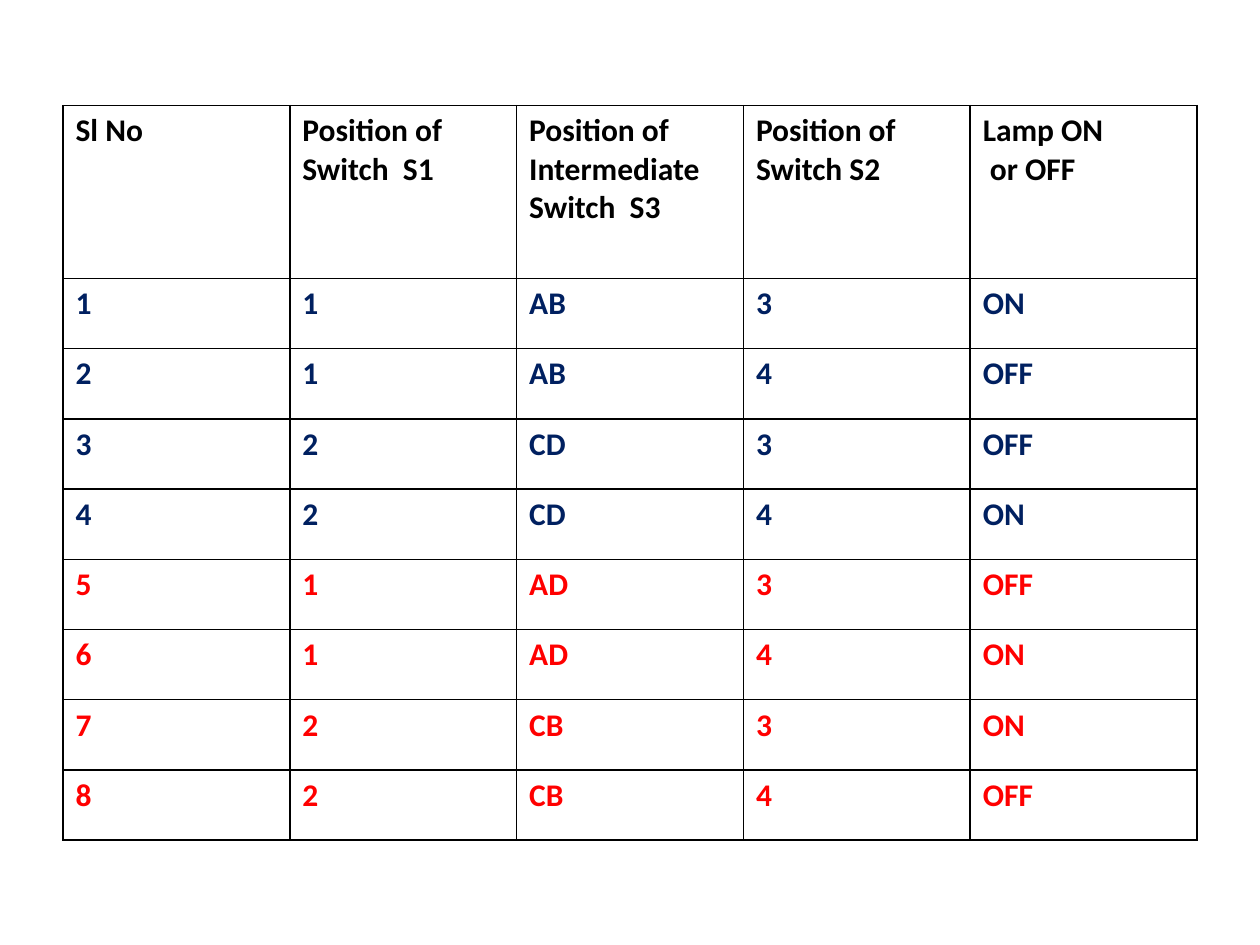
from lxml.etree import SubElement
from pptx import Presentation
from pptx.dml.color import RGBColor
from pptx.oxml.ns import qn
from pptx.util import Cm, Pt

# Content
HEADS = ["Sl No", "Position of Switch  S1", "Position of Intermediate Switch  S3",
         "Position of Switch S2", "Lamp ON\n or OFF"]
STATES = [  # S1, S3, S2, lamp
    ("1", "AB", "3", "ON"),
    ("1", "AB", "4", "OFF"),
    ("2", "CD", "3", "OFF"),
    ("2", "CD", "4", "ON"),
    ("1", "AD", "3", "OFF"),
    ("1", "AD", "4", "ON"),
    ("2", "CB", "3", "ON"),
    ("2", "CB", "4", "OFF"),
]
COLORS = {"head": "000000", "straight": "002060", "crossed": "FF0000",
          "line": "000000", "back": "FFFFFF"}

# Layout in centimetres
LEFT, TOP, WIDTH, HEIGHT = 1.27, 2.13, 22.86, 14.81
HEAD = 3.48


def write(cell, text, color, size=18, bold=True, font="Calibri"):
    cell.text = text
    for para in cell.text_frame.paragraphs:
        for run in para.runs:
            run.font.name = font
            run.font.size = Pt(size)
            run.font.bold = bold
            run.font.color.rgb = RGBColor.from_string(color)


def frame(cell, color, width=1):
    props = cell._tc.get_or_add_tcPr()
    for side in ("a:lnL", "a:lnR", "a:lnT", "a:lnB"):
        line = SubElement(props, qn(side), w=str(Pt(width)))
        fill = SubElement(line, qn("a:solidFill"))
        SubElement(fill, qn("a:srgbClr"), val=color)


def main():
    prs = Presentation()
    prs.slide_width, prs.slide_height = Cm(25.4), Cm(19.05)
    slide = prs.slides.add_slide(prs.slide_layouts[6])

    # Switch table, with numbered rows
    rows = [HEADS] + [(str(n), *state) for n, state in enumerate(STATES, 1)]
    table = slide.shapes.add_table(len(rows), len(HEADS), Cm(LEFT), Cm(TOP),
                                   Cm(WIDTH), Cm(HEIGHT)).table
    table.first_row = table.horz_banding = False
    for col in table.columns:
        col.width = Cm(WIDTH / len(HEADS))
    for r, row in enumerate(rows):
        table.rows[r].height = Cm((HEIGHT - HEAD) / len(STATES) if r else HEAD)
        kind = "head" if r == 0 else "straight" if r <= 4 else "crossed"
        for c, text in enumerate(row):
            cell = table.cell(r, c)
            write(cell, text, COLORS[kind])
            frame(cell, COLORS["line"])
            cell.fill.solid()
            cell.fill.fore_color.rgb = RGBColor.from_string(COLORS["back"])

    prs.save("out.pptx")


if __name__ == "__main__":
    main()
